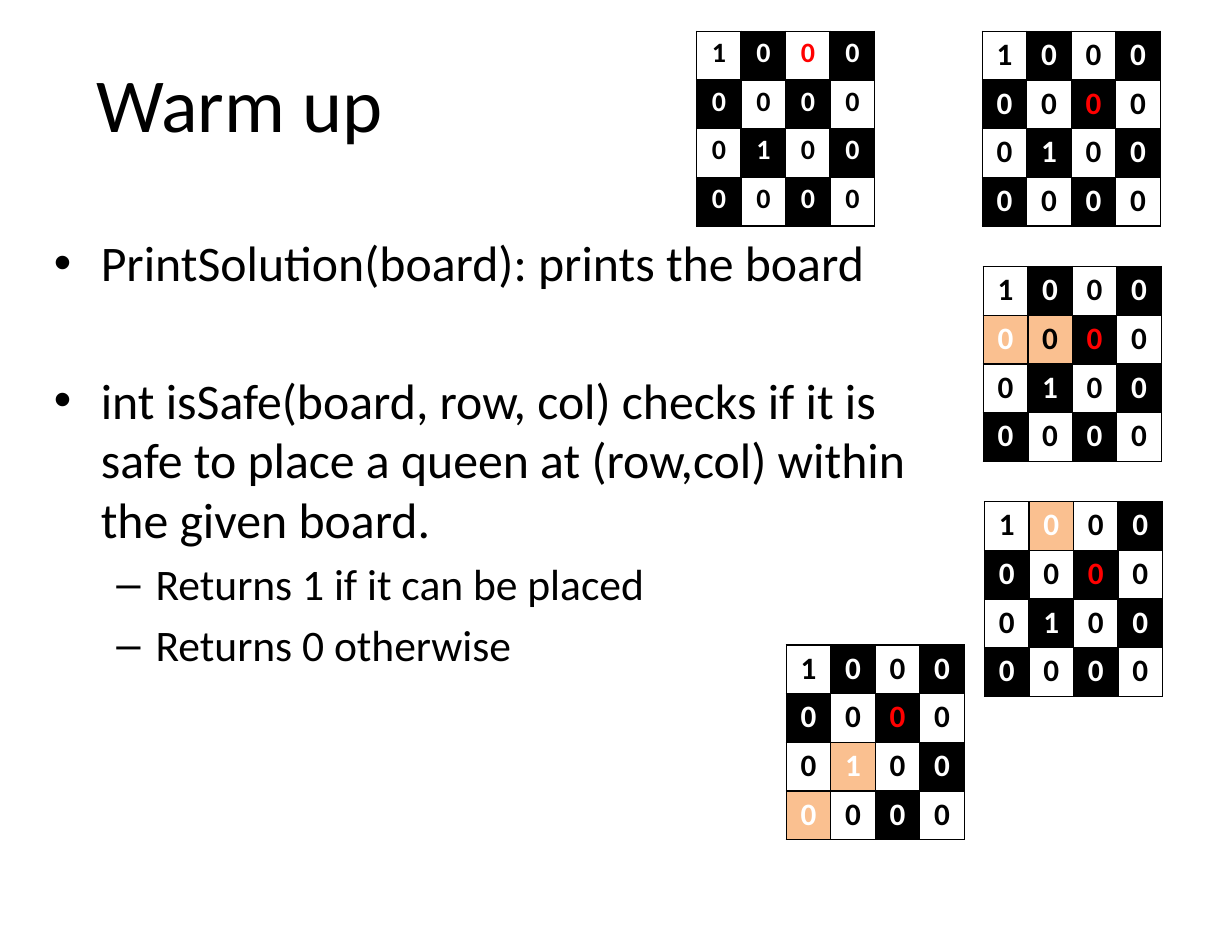
from pptx import Presentation
from pptx.dml.color import RGBColor
from pptx.enum.text import MSO_ANCHOR, MSO_AUTO_SIZE, PP_ALIGN
from pptx.oxml import parse_xml
from pptx.oxml.ns import nsdecls
from pptx.util import Inches, Pt

TOP, NO_FIT = MSO_ANCHOR.TOP, MSO_AUTO_SIZE.NONE
LEFT, CENTER = PP_ALIGN.LEFT, PP_ALIGN.CENTER
BLACK, WHITE, RED, PEACH = "000000", "FFFFFF", "FF0000", "FAC090"

TITLE = "Warm up"
TITLE_BOX = (0.76, 0.45, 9.49, 1.64)
BODY_BOX = (0.38, 2.02, 8.09, 5.85)
BULLETS = [
    (0, "PrintSolution(board): prints the board", None),
    (0, "int isSafe(board, row, col) checks if it is safe to place a queen "
        "at (row,col) within the given board.", 50),
    (1, "Returns 1 if it can be placed", None),
    (1, "Returns 0 otherwise", None),
]
LEVELS = [{"size": 32, "margin": 0.42, "indent": -0.42},
          {"size": 28, "margin": 0.91, "indent": -0.35}]

BOARD = ["1000", "0000", "0100", "0000"]
BOARD_SIZE = (1.59, 1.74)
BOARDS = [
    {"at": (6.22, 0.28), "size": 18, "tested": (0, 2), "marked": [], "plain": [(0, 2)]},
    {"at": (8.77, 0.28), "size": 20, "tested": (1, 2), "marked": []},
    {"at": (8.78, 2.38), "size": 20, "tested": (1, 2), "marked": [(1, 0), (1, 1)]},
    {"at": (8.79, 4.48), "size": 20, "tested": (1, 2), "marked": [(0, 1)]},
    {"at": (7.02, 5.76), "size": 20, "tested": (1, 2), "marked": [(2, 1), (3, 0)]},
]
CELL_FORMAT = {"margin_left": Inches(0.08), "margin_right": Inches(0.08),
               "margin_top": Inches(0.04), "margin_bottom": Inches(0.04),
               "vertical_anchor": TOP}


def rgb(value):
    """Turn a hex string into a colour."""
    return RGBColor.from_string(value)


def set_attrs(obj, values):
    """Set each named attribute of an object."""
    for name, value in values.items():
        setattr(obj, name, value)


def write(p, text, size, color=BLACK, bold=False):
    """Add a formatted run to a paragraph."""
    r = p.add_run()
    r.text = text
    set_attrs(r.font, {"name": "Calibri", "size": Pt(size), "bold": bold})
    r.font.color.rgb = rgb(color)


def place(sp, box):
    """Move a placeholder and fix its text at the top."""
    set_attrs(sp, dict(zip(("left", "top", "width", "height"), map(Inches, box))))
    set_attrs(sp.text_frame, {"vertical_anchor": TOP, "auto_size": NO_FIT, "word_wrap": True})


def add_borders(cell):
    """Draw a thin black line on every side of a cell."""
    tcPr = cell._tc.get_or_add_tcPr()
    for i, side in enumerate(("lnL", "lnR", "lnT", "lnB")):
        tcPr.insert(i, parse_xml(
            f'<a:{side} {nsdecls("a")} w="{Pt(1)}"><a:solidFill>'
            f'<a:srgbClr val="{BLACK}"/></a:solidFill></a:{side}>'))


def add_board(s, board):
    """Add one chessboard with its tested and marked squares."""
    size = len(BOARD)
    sp = s.shapes.add_table(size, size, *map(Inches, board["at"] + BOARD_SIZE))
    table = sp.table
    set_attrs(table, {"first_row": False, "horz_banding": False})
    for row, values in enumerate(BOARD):
        for col, value in enumerate(values):
            cell, square = table.cell(row, col), (row, col)
            dark = (row + col) % 2 == 1
            set_attrs(cell, CELL_FORMAT)
            fill = PEACH if square in board["marked"] else BLACK if dark else None
            if fill:
                cell.fill.solid()
                cell.fill.fore_color.rgb = rgb(fill)
            else:
                cell.fill.background()
            color = RED if square == board["tested"] else WHITE if dark else BLACK
            p = cell.text_frame.paragraphs[0]
            p.alignment = CENTER
            write(p, value, board["size"], color, True)
            add_borders(cell)


def main():
    """Build the slide and save it."""
    prs = Presentation()
    set_attrs(prs, {"slide_width": Inches(11), "slide_height": Inches(8.5)})
    s = prs.slides.add_slide(prs.slide_layouts[1])
    title, body = s.shapes.title, s.placeholders[1]
    place(title, TITLE_BOX)
    p = title.text_frame.paragraphs[0]
    p.alignment = LEFT
    write(p, TITLE, 49)
    place(body, BODY_BOX)
    tf = body.text_frame
    for i, (level, text, gap) in enumerate(BULLETS):
        p = tf.add_paragraph() if i else tf.paragraphs[0]
        p.level = level
        if gap:
            p.space_before = Pt(gap)
        pPr = p._p.get_or_add_pPr()
        pPr.set("marL", str(Inches(LEVELS[level]["margin"])))
        pPr.set("indent", str(Inches(LEVELS[level]["indent"])))
        write(p, text, LEVELS[level]["size"])
    for board in BOARDS:
        add_board(s, board)
    prs.save("out.pptx")


if __name__ == "__main__":
    main()
